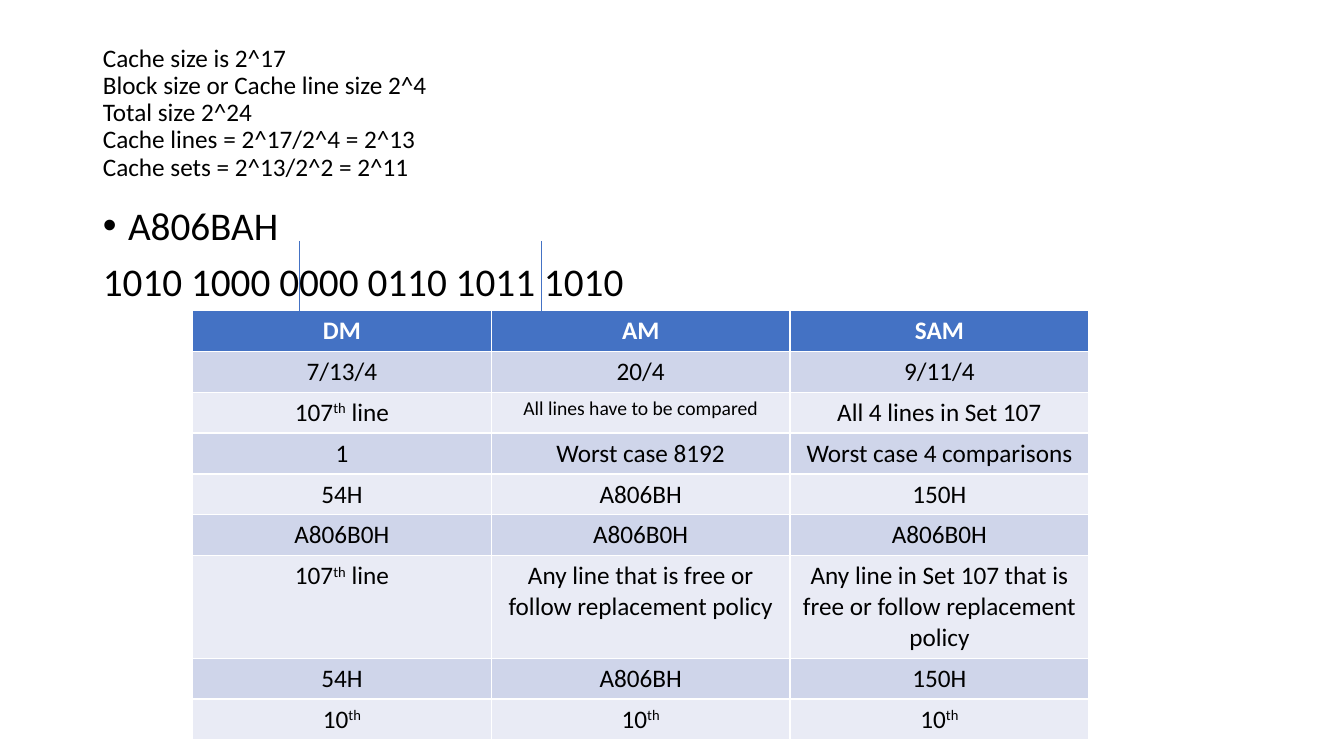
from pptx import Presentation
from pptx.dml.color import RGBColor
from pptx.enum import shapes, text
from pptx.oxml import ns, xmlchemy
from pptx.util import Inches, Pt

BLACK = RGBColor(0, 0, 0)
WHITE = RGBColor(255, 255, 255)
BLUE = RGBColor(0x44, 0x72, 0xC4)
BANDS = RGBColor(0xCF, 0xD5, 0xEA), RGBColor(0xE9, 0xEB, 0xF5)
FACE = "Calibri"

SIZES = [
    "Cache size is 2^17",
    "Block size or Cache line size 2^4",
    "Total size 2^24",
    "Cache lines = 2^17/2^4 = 2^13",
    "Cache sets = 2^13/2^2 = 2^11",
]
ADDRESS = ["A806BAH", "1010 1000 0000 0110 1011 1010"]
# Text between bars is superscript.
ROWS = [
    ("DM", "AM", "SAM"),
    ("7/13/4", "20/4", "9/11/4"),
    ("107|th| line", "All lines have to be compared", "All 4 lines in Set 107"),
    ("1", "Worst case 8192", "Worst case 4 comparisons"),
    ("54H", "A806BH", "150H"),
    ("A806B0H", "A806B0H", "A806B0H"),
    ("107|th| line", "Any line that is free or follow replacement policy",
     "Any line in Set 107 that is free or follow replacement policy"),
    ("54H", "A806BH", "150H"),
    ("10|th", "10|th", "10|th"),
]
SMALL = (2, 1)
SPLITS = 5.37, 2.97


def style(run, size, color=BLACK, bold=False):
    """Set the font of one run."""
    font = run.font
    font.name, font.size, font.bold = FACE, Pt(size), bold
    font.color.rgb = color


def place(shape, left, top, width, height):
    """Move and size a shape, in inches."""
    shape.left, shape.top = Inches(left), Inches(top)
    shape.width, shape.height = Inches(width), Inches(height)


def write(holder, lines, size, anchor):
    """Fill a placeholder and format its left-aligned text."""
    frame = holder.text_frame
    frame.text = lines
    frame.word_wrap = True
    frame.auto_size = text.MSO_AUTO_SIZE.NONE
    frame.vertical_anchor = anchor
    for para in frame.paragraphs:
        para.alignment = text.PP_ALIGN.LEFT
        para.line_spacing = 0.9
        for run in para.runs:
            style(run, size)
    return frame.paragraphs


def bullet(para, char=None):
    """Give a paragraph a hanging bullet, or none."""
    props = para._p.get_or_add_pPr()
    indent = Inches(0.25) if char else 0
    props.set("marL", str(indent))
    props.set("indent", str(-indent))
    mark = xmlchemy.OxmlElement("a:buChar" if char else "a:buNone")
    if char:
        face = xmlchemy.OxmlElement("a:buFont")
        face.set("typeface", "Arial")
        props.append(face)
        mark.set("char", char)
    props.append(mark)


def fill(cell, row, col):
    """Write and colour one table cell."""
    head = row == 0
    cell.fill.solid()
    cell.fill.fore_color.rgb = BLUE if head else BANDS[(row - 1) % 2]
    para = cell.text_frame.paragraphs[0]
    para.alignment = text.PP_ALIGN.CENTER
    for i, part in enumerate(ROWS[row][col].split("|")):
        run = para.add_run()
        run.text = part
        style(run, 14 if (row, col) == SMALL else 18, WHITE if head else BLACK, head)
        if i % 2:
            run._r.get_or_add_rPr().set("baseline", "30000")


deck = Presentation()
deck.slide_width, deck.slide_height = Inches(13.33), Inches(7.5)
slide = deck.slides.add_slide(deck.slide_layouts[1])
title, body = slide.placeholders

place(title, 0.92, 0.4, 11.5, 1.45)
write(title, "\v".join(SIZES), 18, text.MSO_ANCHOR.MIDDLE)

place(body, 0.92, 2, 11.5, 4.76)
paras = write(body, "\n".join(ADDRESS), 28, text.MSO_ANCHOR.TOP)
for para, char in zip(paras, ("\u2022", None)):
    para.space_before = Pt(10)
    bullet(para, char)

high = Pt(29.2)
grid = slide.shapes.add_table(len(ROWS), len(ROWS[0]), Inches(1.91), Inches(3.08),
                              Inches(8.89), high * len(ROWS)).table
for r, line in enumerate(grid.rows):
    line.height = high
    for c, cell in enumerate(line.cells):
        fill(cell, r, c)

for x in SPLITS:
    split = slide.shapes.add_connector(shapes.MSO_CONNECTOR.STRAIGHT, Inches(x), Inches(2.39),
                                       Inches(x), Inches(3.27))
    split.line.color.rgb = BLUE
    split.line.width = Pt(0.5)
    split._element.find(ns.qn("p:spPr")).append(xmlchemy.OxmlElement("a:effectLst"))

deck.save("out.pptx")
